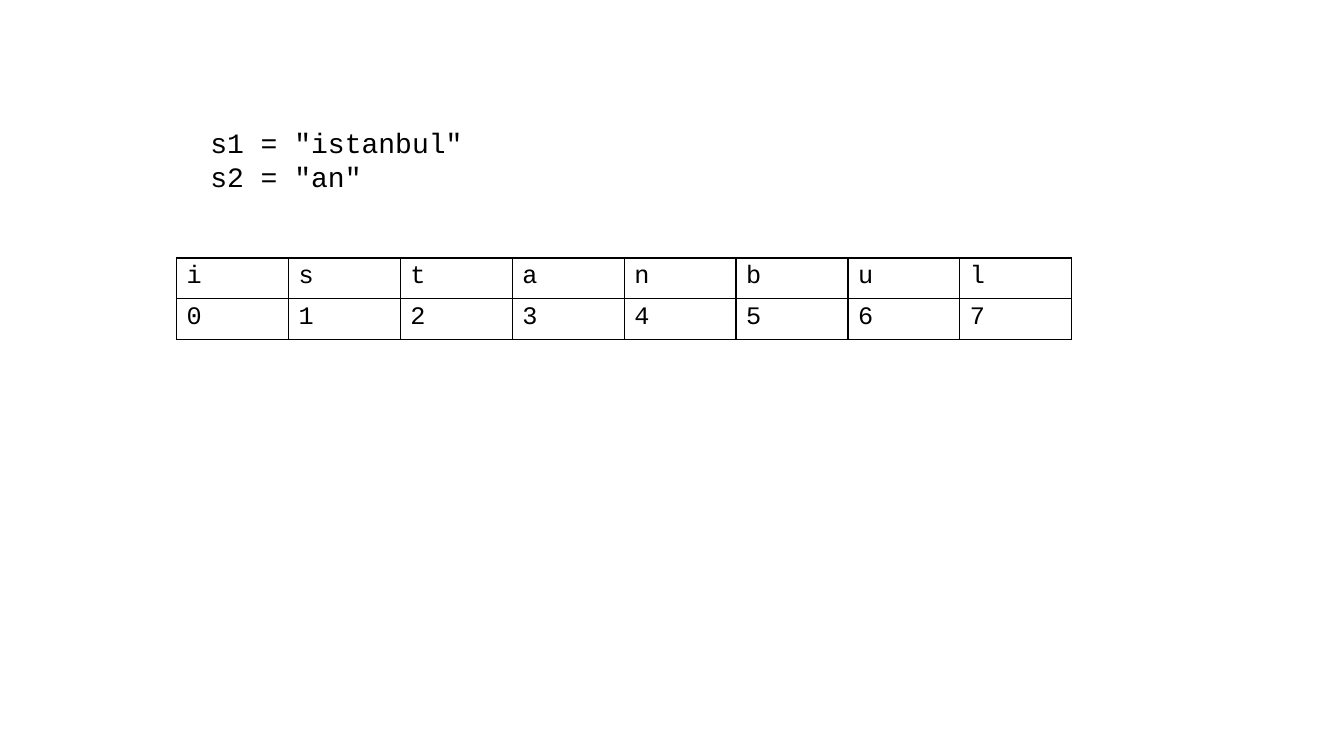
"""Build a slide that shows the index of each letter in a string."""
from dataclasses import dataclass

from lxml.etree import SubElement
from pptx import Presentation
from pptx.dml.color import RGBColor
from pptx.enum.text import MSO_AUTO_SIZE as AutoSize
from pptx.oxml.ns import qn
from pptx.util import Cm, Pt

WORD = "istanbul"
CODE_LINES = [f's1 = "{WORD}"', 's2 = "an"']
TABLE_ROWS = [list(WORD), [str(index) for index in range(len(WORD))]]

SLIDE_SIZE = Cm(33.87), Cm(19.05)
CODE_BOX = Cm(5.05), Cm(3.05), Cm(10.74), Cm(1.96)
TABLE_LEFT, TABLE_TOP = Cm(4.45), Cm(6.5)
COLUMN_WIDTH, ROW_HEIGHT = Cm(2.82), Cm(1.03)


@dataclass(frozen=True)
class Theme:
    font: str = "Courier New"
    ink: str = "000000"
    code_size: int = 20
    cell_size: int = 18
    border_width: int = 1


THEME = Theme()


def style(paragraph, size):
    paragraph.font.name = THEME.font
    paragraph.font.size = Pt(size)
    paragraph.font.color.rgb = RGBColor.from_string(THEME.ink)


def add_borders(cell):
    properties = cell._tc.get_or_add_tcPr()
    for position, side in enumerate(("lnL", "lnR", "lnT", "lnB")):
        line = SubElement(properties, qn(f"a:{side}"), w=str(Pt(THEME.border_width)))
        fill = SubElement(line, qn("a:solidFill"))
        SubElement(fill, qn("a:srgbClr"), val=THEME.ink)
        properties.insert(position, line)


def add_code(slide):
    frame = slide.shapes.add_textbox(*CODE_BOX).text_frame
    frame.word_wrap = True
    frame.auto_size = AutoSize.SHAPE_TO_FIT_TEXT
    frame.text = "\n".join(CODE_LINES)
    for paragraph in frame.paragraphs:
        style(paragraph, THEME.code_size)


def add_index_table(slide):
    row_count, column_count = len(TABLE_ROWS), len(WORD)
    table = slide.shapes.add_table(
        row_count, column_count, TABLE_LEFT, TABLE_TOP,
        COLUMN_WIDTH * column_count, ROW_HEIGHT * row_count).table
    table.first_row = table.horz_banding = False
    for row, values in zip(table.rows, TABLE_ROWS):
        for cell, value in zip(row.cells, values):
            cell.text = value
            cell.fill.background()
            style(cell.text_frame.paragraphs[0], THEME.cell_size)
            add_borders(cell)


def main():
    presentation = Presentation()
    presentation.slide_width, presentation.slide_height = SLIDE_SIZE
    slide = presentation.slides.add_slide(presentation.slide_layouts[6])
    add_index_table(slide)
    add_code(slide)
    presentation.save("out.pptx")


if __name__ == "__main__":
    main()
